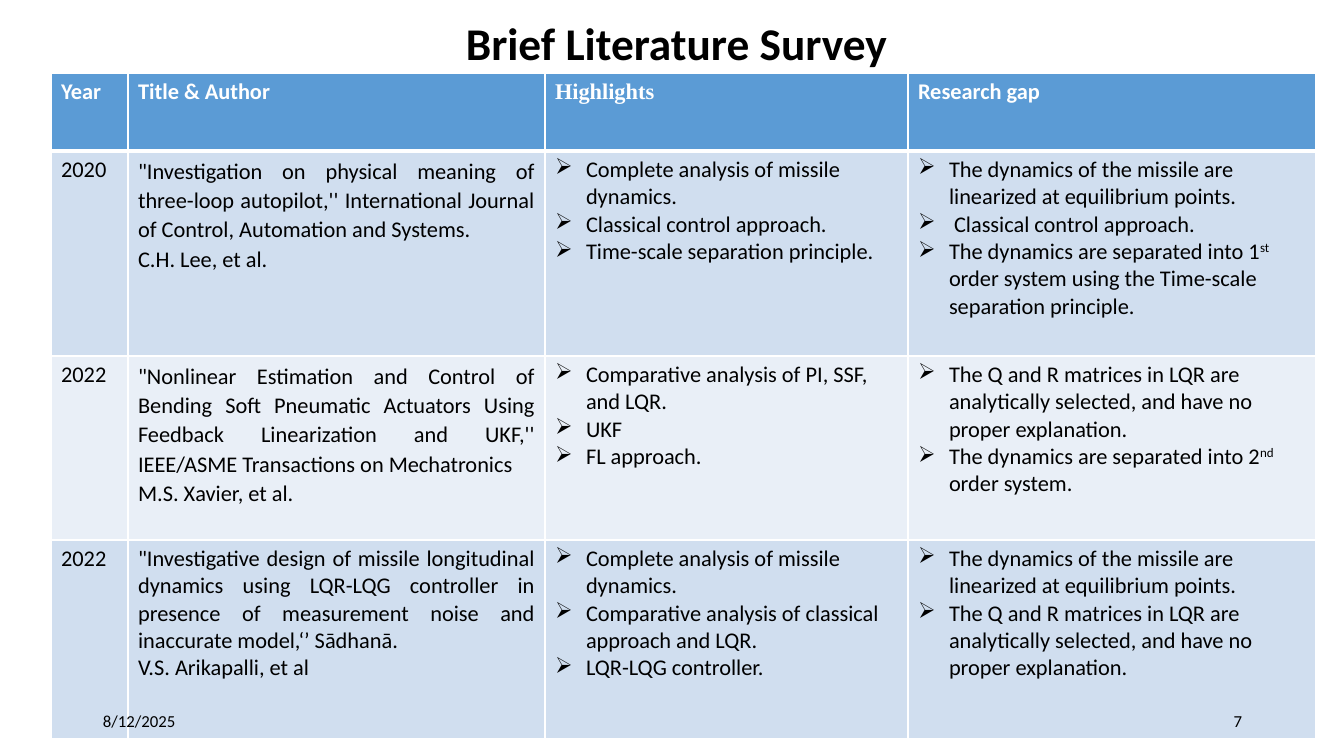
from lxml import etree
from pptx import Presentation
from pptx.dml.color import RGBColor
from pptx.enum import text
from pptx.oxml import ns
from pptx.util import Pt

# Content: "^" switches superscript on and off
TITLE = "Brief Literature Survey"
DATE, PAGE = "8/12/2025", "7"
HEADINGS = ["Year", "Title & Author", "Highlights", "Research gap"]
# year, citation, author, citation spacing, author spacing, author justified, highlights, gaps
STUDIES = [
    ("2020",
     "\"Investigation on physical meaning of three-loop autopilot,'' "
     "International Journal of Control, Automation and Systems.",
     "C.H. Lee, et al.", 1.07,
     ["Complete analysis of missile dynamics.",
      "Classical control approach.",
      "Time-scale separation principle."],
     ["The dynamics of the missile are linearized at equilibrium points.",
      " Classical control approach.",
      "The dynamics are separated into 1^st^ order system using the "
      "Time-scale separation principle."]),
    ("2022",
     "\"Nonlinear Estimation and Control of Bending Soft Pneumatic Actuators "
     "Using Feedback Linearization and UKF,'' IEEE/ASME Transactions on Mechatronics",
     "M.S. Xavier, et al.", 1.07,
     ["Comparative analysis of PI, SSF, and LQR.",
      "UKF",
      "FL approach."],
     ["The Q and R matrices in LQR are analytically selected, "
      "and have no proper explanation.",
      "The dynamics are separated into 2^nd^ order system."]),
    ("2022",
     "\"Investigative design of missile longitudinal dynamics using LQR-LQG "
     "controller in presence of measurement noise and inaccurate model,‘’ Sādhanā.",
     "V.S. Arikapalli, et al", 1.0,
     ["Complete analysis of missile dynamics.",
      "Comparative analysis of classical approach and LQR.",
      "LQR-LQG controller."],
     ["The dynamics of the missile are linearized at equilibrium points.",
      "The Q and R matrices in LQR are analytically selected, "
      "and have no proper explanation."]),
]

# Layout in px
SLIDE_W, SLIDE_H = 1344, 756
SCALE = 12192000 / SLIDE_W
TABLE_LEFT, TABLE_TOP = 51, 73
COLUMNS = [77, 417, 363, 408]
ROWS = [78, 205, 184, 199]
BULLET_INDENT = 31

BLACK = RGBColor(0x00, 0x00, 0x00)
WHITE = RGBColor(0xFF, 0xFF, 0xFF)
HEADER_BLUE = RGBColor(0x5B, 0x9B, 0xD5)
BANDS = [RGBColor(0xD0, 0xDE, 0xEF), RGBColor(0xE9, 0xEF, 0xF7)]
JUSTIFY = text.PP_ALIGN.JUSTIFY


def px(length):
    return round(length * SCALE)


def set_font(paragraph, size, color=BLACK, bold=False, name="Calibri"):
    font = paragraph.font
    font.name, font.size, font.bold = name, Pt(size), bold
    font.color.rgb = color


def add_label(slide, label, left, top, width, height, size, align, bold=False):
    frame = slide.shapes.add_textbox(px(left), px(top), px(width), px(height)).text_frame
    frame.word_wrap = True
    frame.vertical_anchor = text.MSO_ANCHOR.MIDDLE
    paragraph = frame.paragraphs[0]
    paragraph.text, paragraph.alignment = label, align
    set_font(paragraph, size, bold=bold)


def style_cell(cell, fill, top=1, bottom=1):
    properties = cell._tc.get_or_add_tcPr()
    for side, weight in (("L", 1), ("R", 1), ("T", top), ("B", bottom)):
        line = etree.SubElement(properties, ns.qn(f"a:ln{side}"), w=str(Pt(weight)))
        paint = etree.SubElement(line, ns.qn("a:solidFill"))
        etree.SubElement(paint, ns.qn("a:srgbClr"), val=str(WHITE))
    cell.fill.solid()
    cell.fill.fore_color.rgb = fill


def add_bullet(paragraph):
    properties = paragraph._p.get_or_add_pPr()
    properties.set("marL", str(px(BULLET_INDENT)))
    properties.set("indent", str(-px(BULLET_INDENT)))
    color = etree.SubElement(properties, ns.qn("a:buClr"))
    etree.SubElement(color, ns.qn("a:srgbClr"), val=str(BLACK))
    etree.SubElement(properties, ns.qn("a:buChar"), char="➢")


def write_cell(cell, lines, bulleted=False, spacing=None, aligns=()):
    frame = cell.text_frame
    for i, line in enumerate(lines):
        paragraph = frame.add_paragraph() if i else frame.paragraphs[0]
        if bulleted:
            add_bullet(paragraph)
        if spacing:
            paragraph.line_spacing = spacing
        if aligns:
            paragraph.alignment = aligns[i]
        set_font(paragraph, 16)
        for j, part in enumerate(line.split("^")):
            run = paragraph.add_run()
            run.text = part
            if j % 2:
                run.font._element.set("baseline", "30000")


def main():
    deck = Presentation()
    deck.slide_width, deck.slide_height = px(SLIDE_W), px(SLIDE_H)
    slide = deck.slides.add_slide(deck.slide_layouts[6])

    # Title
    add_label(slide, TITLE, 39, 0, 1275, 84, 32.4, text.PP_ALIGN.CENTER, bold=True)

    # Survey table
    survey = slide.shapes.add_table(
        len(ROWS), len(COLUMNS), px(TABLE_LEFT), px(TABLE_TOP),
        px(sum(COLUMNS)), px(sum(ROWS))).table
    for column, width in zip(survey.columns, COLUMNS):
        column.width = px(width)
    for row, height in zip(survey.rows, ROWS):
        row.height = px(height)

    # Header row
    for i, heading in enumerate(HEADINGS):
        cell = survey.cell(0, i)
        style_cell(cell, HEADER_BLUE, bottom=3)
        paragraph = cell.text_frame.paragraphs[0]
        paragraph.text = heading
        serif = heading == "Highlights"
        if serif:
            paragraph.line_spacing = 1.07
        set_font(paragraph, 16, WHITE, True, "Times New Roman" if serif else "Calibri")

    # Study rows
    for r, (year, citation, author, spacing, highlights, gaps) in enumerate(STUDIES, 1):
        cells = [survey.cell(r, c) for c in range(len(COLUMNS))]
        for cell in cells:
            style_cell(cell, BANDS[(r - 1) % 2], top=3 if r == 1 else 1)
        write_cell(cells[0], [year])
        write_cell(cells[1], [citation, author], spacing=spacing,
                   aligns=(JUSTIFY, text.PP_ALIGN.LEFT))
        write_cell(cells[2], highlights, bulleted=True)
        write_cell(cells[3], gaps, bulleted=True)

    # Footer
    add_label(slide, PAGE, 950, 701, 302, 40, 12, text.PP_ALIGN.RIGHT)
    add_label(slide, DATE, 93, 701, 302, 40, 12, text.PP_ALIGN.LEFT)

    deck.save("out.pptx")


if __name__ == "__main__":
    main()
